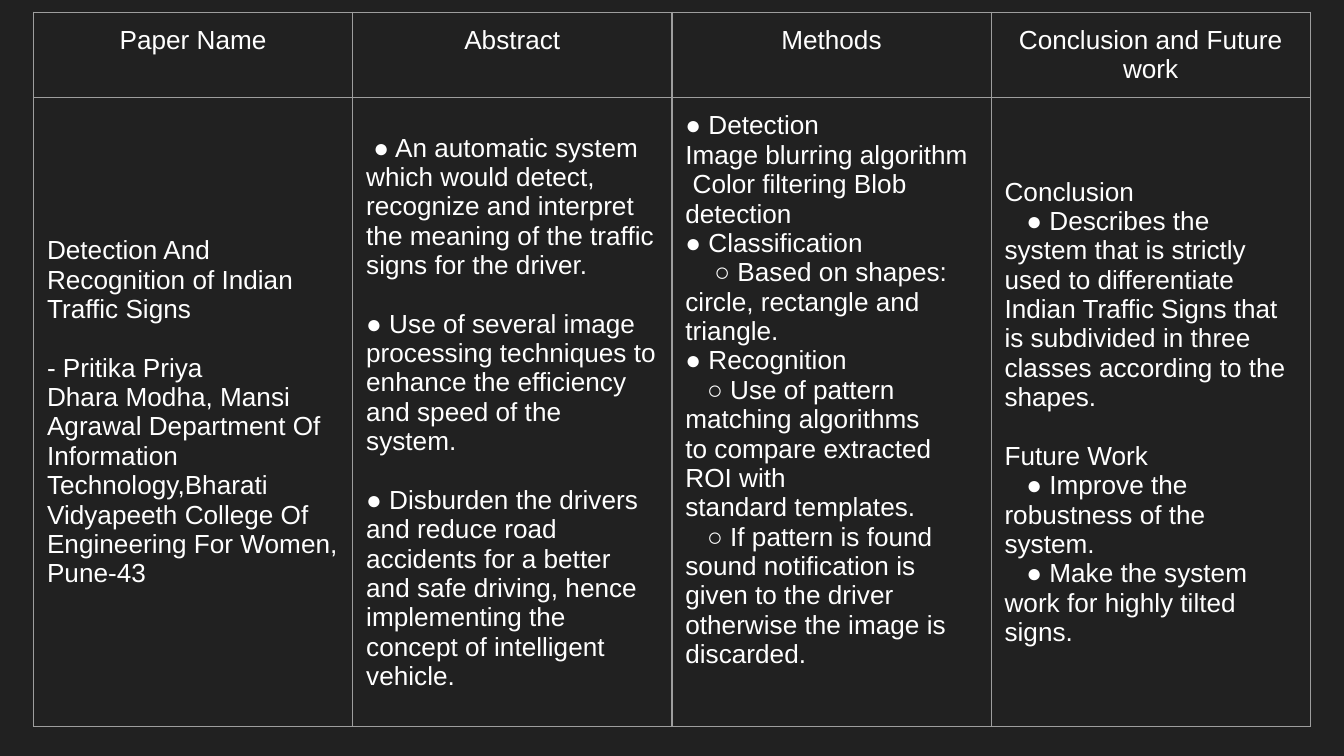
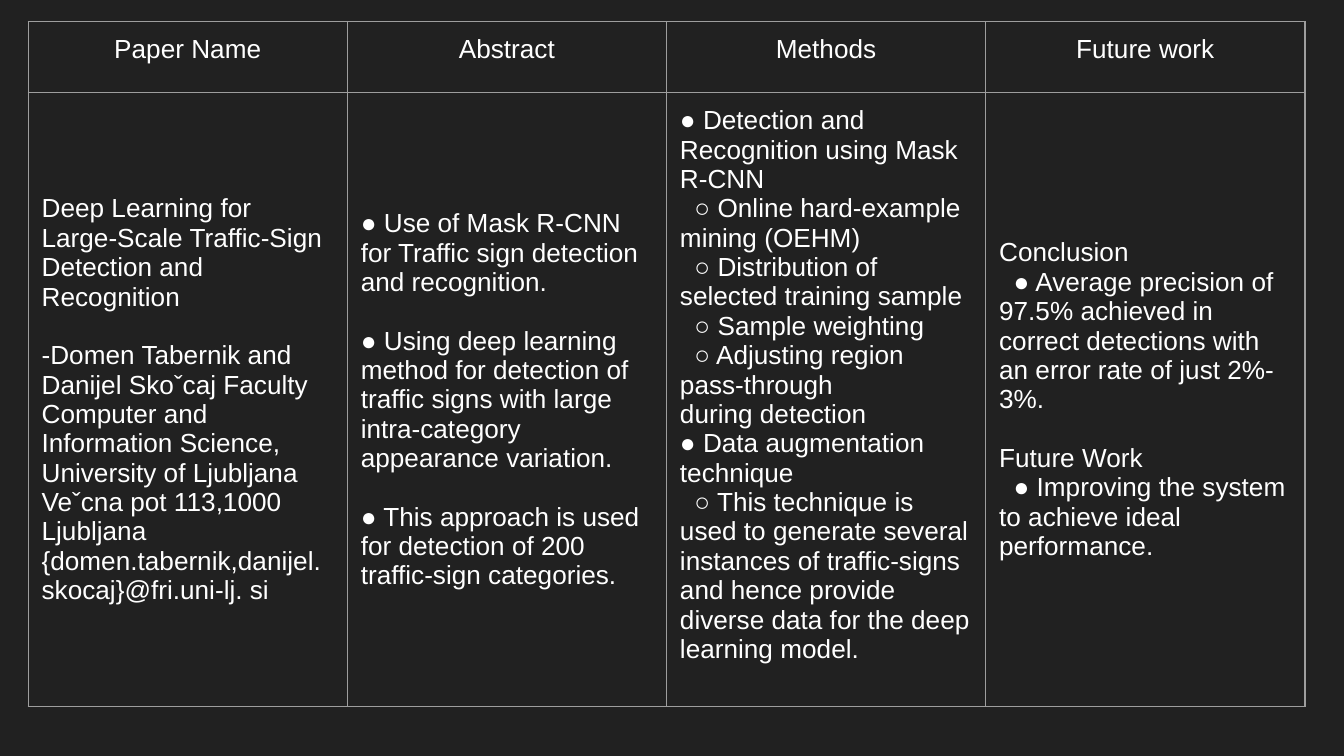
import pptx
import pptx.dml.color
import pptx.enum.text
import pptx.oxml
import pptx.oxml.ns
import pptx.util

BACKGROUND, INK, RULE = "212121", "FFFFFF", "9E9E9E"
FONT, TEXT_SIZE, RULE_WIDTH = "Arial", 14, 0.75
INDENT_STEP = 0.054  # inches, one character step
BLOCK_GAP = 15.7  # points, one empty line
CELL_MARGIN = 0.1
TABLE_WIDTH = 95
ALIGN = pptx.enum.text.PP_ALIGN
ANCHOR = pptx.enum.text.MSO_ANCHOR


def color(code):
    return pptx.dml.color.RGBColor.from_string(code)


def line(text, indent=0, gap=False):
    """Describe a paragraph: first-line indent in steps, gap to open a new block."""
    return {"text": text, "indent": indent, "gap": gap}


def write(para, text, indent=0, gap=False, align=ALIGN.LEFT):
    para.alignment = align
    para.space_before = pptx.util.Pt(BLOCK_GAP if gap else 0)
    properties = para._p.get_or_add_pPr()
    properties.set("marL", "0")
    properties.set("indent", str(pptx.util.Inches(indent * INDENT_STEP)))
    span = para.add_run()
    span.text = text
    span.font.name = FONT
    span.font.size = pptx.util.Pt(TEXT_SIZE)
    span.font.color.rgb = color(INK)


class PaperDeck:
    """Dark deck of paper summaries; lengths are percentages of the slide."""

    def __init__(self):
        self.deck = pptx.Presentation()
        self.deck.slide_width = pptx.util.Inches(10)
        self.deck.slide_height = pptx.util.Emu(self.deck.slide_width * 9 // 16)
        self.page = None

    def across(self, share):
        return pptx.util.Emu(round(self.deck.slide_width * share / 100))

    def down(self, share):
        return pptx.util.Emu(round(self.deck.slide_height * share / 100))

    def add_page(self):
        self.page = self.deck.slides.add_slide(self.deck.slide_layouts[6])
        fill = self.page.background.fill
        fill.solid()
        fill.fore_color.rgb = color(BACKGROUND)

    def style_cell(self, cell, anchor):
        properties = cell._tc.get_or_add_tcPr()
        for side in ("lnL", "lnR", "lnT", "lnB"):
            properties.append(pptx.oxml.parse_xml(
                f'<a:{side} {pptx.oxml.ns.nsdecls("a")} w="{pptx.util.Pt(RULE_WIDTH)}">'
                f'<a:solidFill><a:srgbClr val="{RULE}"/></a:solidFill></a:{side}>'))
        cell.fill.background()
        cell.vertical_anchor = anchor
        margin = pptx.util.Inches(CELL_MARGIN)
        cell.margin_left = cell.margin_right = margin
        cell.margin_top = cell.margin_bottom = margin

    def fill_cell(self, cell, lines, anchor=ANCHOR.TOP, align=ALIGN.LEFT):
        self.style_cell(cell, anchor)
        frame = cell.text_frame
        for number, item in enumerate(lines):
            para = frame.add_paragraph() if number else frame.paragraphs[0]
            write(para, align=align, **item)

    def add_summary(self, left, top, row_heights, columns):
        """Columns are (heading, body anchor, body lines)."""
        frame = self.page.shapes.add_table(
            2, len(columns), self.across(left), self.down(top),
            self.across(TABLE_WIDTH), self.down(sum(row_heights)))
        table = frame.table
        table.first_row = table.horz_banding = False
        for row, height in zip(table.rows, row_heights):
            row.height = self.down(height)
        for number, (heading, anchor, lines) in enumerate(columns):
            table.columns[number].width = self.across(TABLE_WIDTH / len(columns))
            self.fill_cell(table.cell(0, number), [line(heading)], align=ALIGN.CENTER)
            self.fill_cell(table.cell(1, number), lines, anchor)


INDIAN_SIGNS = [
    ("Paper Name", ANCHOR.MIDDLE, [
        line("Detection And Recognition of Indian Traffic Signs"),
        line("- Pritika Priya", gap=True),
        line("Dhara Modha, Mansi Agrawal Department Of Information Technology,Bharati "
             "Vidyapeeth College Of Engineering For Women, Pune-43"),
    ]),
    ("Abstract", ANCHOR.MIDDLE, [
        line("● An automatic system which would detect, recognize and interpret the "
             "meaning of the traffic signs for the driver.", indent=1),
        line("● Use of several image processing techniques to enhance the efficiency "
             "and speed of the system.", gap=True),
        line("● Disburden the drivers and reduce road accidents for a better and safe "
             "driving, hence implementing the concept of intelligent vehicle.", gap=True),
    ]),
    ("Methods", ANCHOR.TOP, [
        line("● Detection"),
        line("Image blurring algorithm"),
        line("Color filtering Blob detection", indent=1),
        line("● Classification"),
        line("○ Based on shapes: circle, rectangle and triangle.", indent=4),
        line("● Recognition"),
        line("○ Use of pattern matching algorithms", indent=3),
        line("to compare extracted ROI with"),
        line("standard templates."),
        line("○ If pattern is found sound notification is given to the driver "
             "otherwise the image is discarded.", indent=3),
    ]),
    ("Conclusion and Future work", ANCHOR.MIDDLE, [
        line("Conclusion"),
        line("● Describes the system that is strictly used to differentiate Indian "
             "Traffic Signs that is subdivided in three classes according to the "
             "shapes.", indent=3),
        line("Future Work", gap=True),
        line("● Improve the robustness of the system.", indent=3),
        line("● Make the system work for highly tilted", indent=3),
        line("signs."),
    ]),
]

LARGE_SCALE_SIGNS = [
    ("Paper Name", ANCHOR.MIDDLE, [
        line("Deep Learning for Large-Scale Traffic-Sign Detection and Recognition"),
        line("-Domen Tabernik and Danijel Skoˇcaj Faculty Computer and Information "
             "Science, University of Ljubljana Veˇcna pot 113,1000 Ljubljana "
             "{domen.tabernik,danijel.skocaj}@fri.uni-lj. si", gap=True),
    ]),
    ("Abstract", ANCHOR.MIDDLE, [
        line("● Use of Mask R-CNN for Traffic sign detection and recognition."),
        line("● Using deep learning method for detection of traffic signs with large "
             "intra-category appearance variation.", gap=True),
        line("● This approach is used for detection of 200 traffic-sign categories.",
             gap=True),
    ]),
    ("Methods", ANCHOR.TOP, [
        line("● Detection and Recognition using Mask R-CNN"),
        line("○ Online hard-example mining (OEHM)", indent=2),
        line("○ Distribution of selected training sample", indent=2),
        line("○ Sample weighting", indent=2),
        line("○ Adjusting region pass-through", indent=2),
        line("during detection"),
        line("● Data augmentation technique"),
        line("○ This technique is used to generate several instances of traffic-signs "
             "and hence provide diverse data for the deep learning model.", indent=2),
    ]),
    ("Future work", ANCHOR.MIDDLE, [
        line("Conclusion"),
        line("● Average precision of 97.5% achieved in correct detections with an "
             "error rate of just 2%-3%.", indent=2),
        line("Future Work", gap=True),
        line("● Improving the system to achieve ideal performance.", indent=2),
    ]),
]


def main():
    show = PaperDeck()
    show.add_page()
    show.add_summary(2.5, 1.6, (11.25, 83.2), INDIAN_SIGNS)
    show.add_page()
    show.add_summary(2.1, 2.85, (9.4, 81.25), LARGE_SCALE_SIGNS)
    show.deck.save("out.pptx")


if __name__ == "__main__":
    main()
